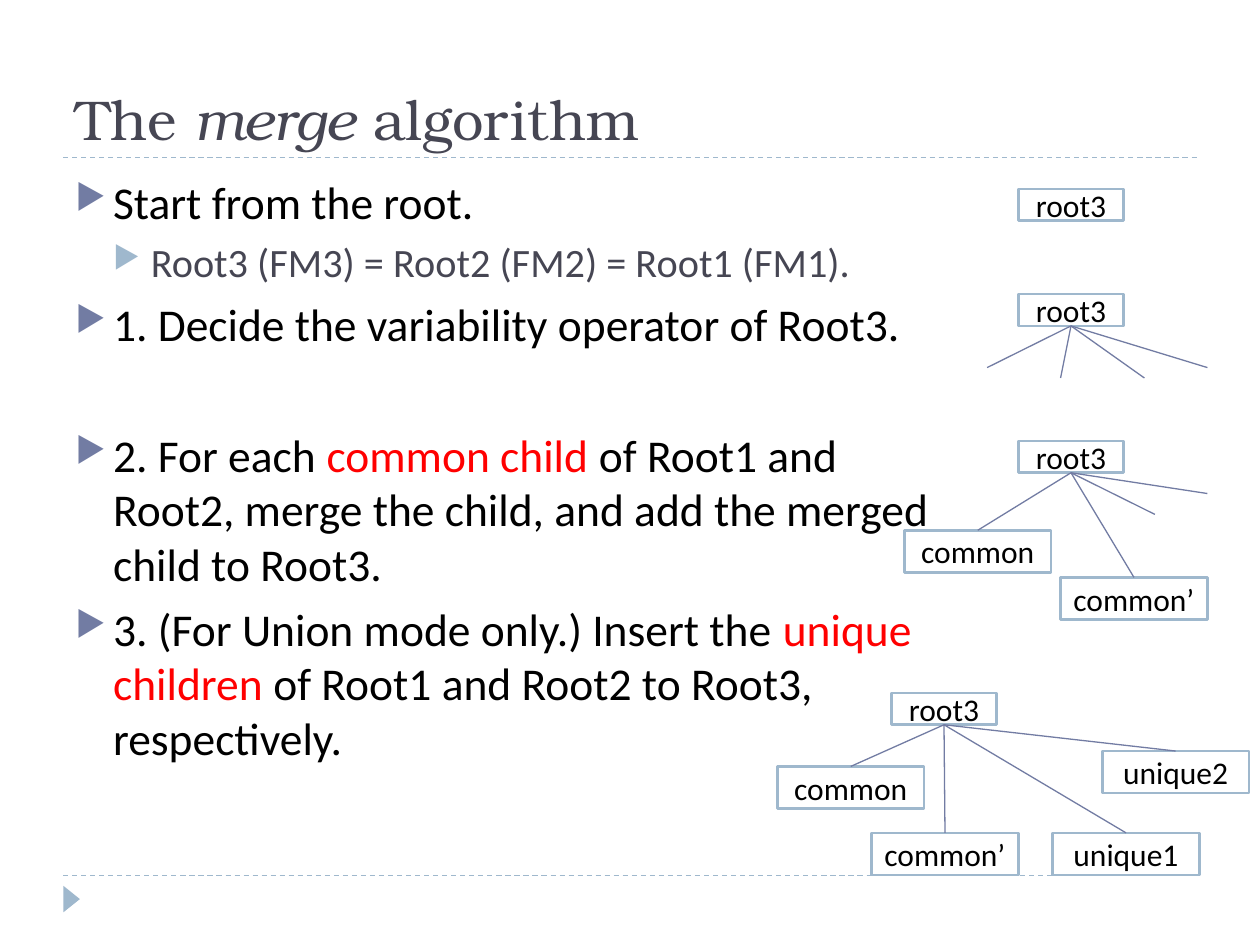
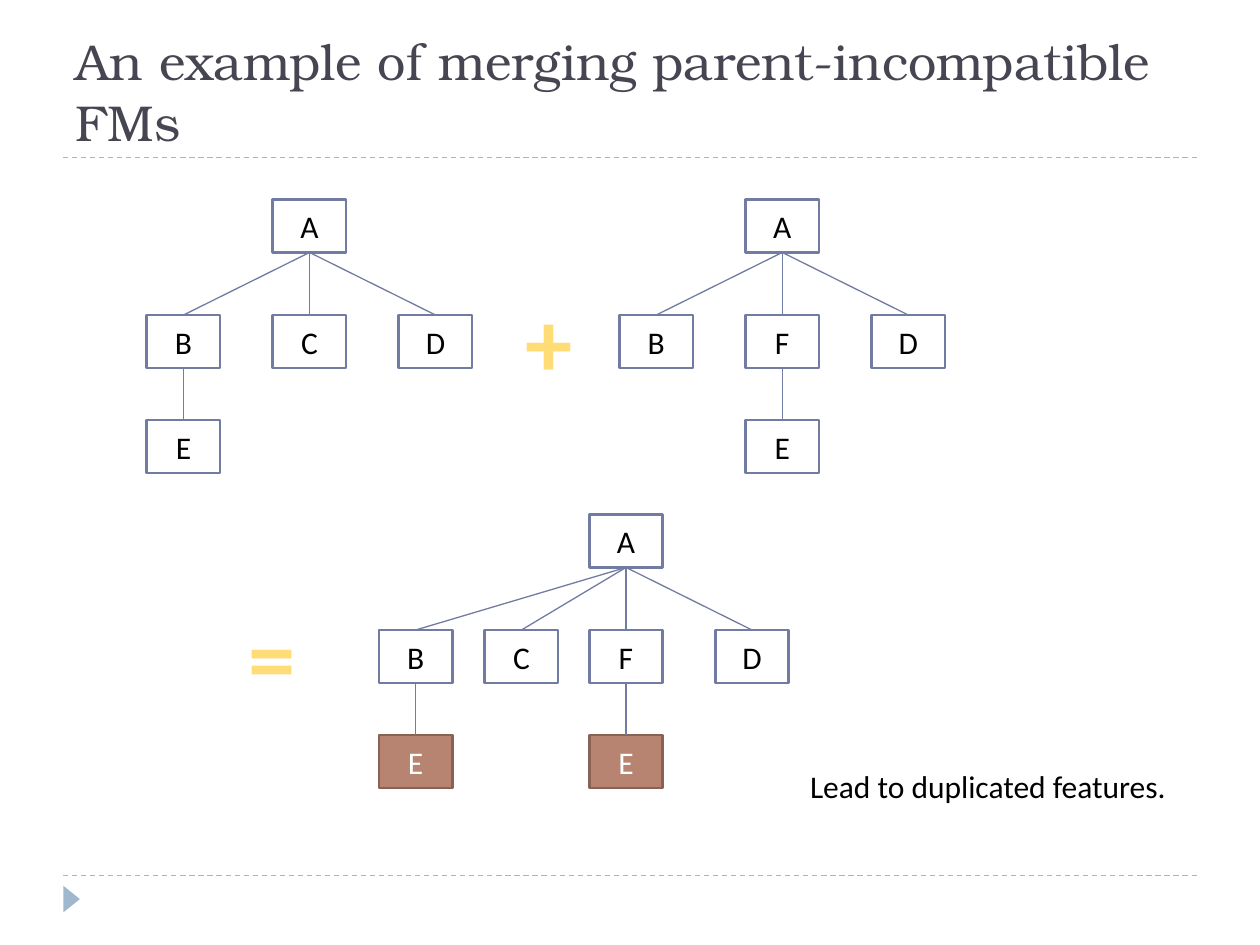
import pptx
import pptx.util
from lxml import etree
from pptx.dml.color import RGBColor
from pptx.enum.dml import MSO_LINE
from pptx.enum.shapes import MSO_CONNECTOR, MSO_SHAPE
from pptx.enum.text import MSO_ANCHOR, MSO_AUTO_SIZE, PP_ALIGN
from pptx.oxml.ns import qn

Cm, Pt = pptx.util.Cm, pptx.util.Pt

# Shared look
TITLE_FONT, BODY_FONT = "TeX Gyre Bonum", "Calibri"
BLACK, WHITE, RED, GOLD = "000000", "FFFFFF", "FF0000", "FFDC75"
SLATE, INDIGO, SKY = "464653", "727CA3", "9FB8CD"
CLAY, CLAY_EDGE = "B88472", "886254"
BOTTOM, TOP = 2, 0  # connection sites of a rectangle

# Sizes in cm
ROOT_SIZE, CHILD_SIZE, FEATURE_SIZE = (2.12, 0.64), (2.96, 0.85), (1.48, 1.07)
COLUMN, CHILD_DROP, GRANDCHILD_DROP = 2.54, 2.33, 4.45


def rgb(color):
    return RGBColor.from_string(color)


def add_run(paragraph, text, size, color=BLACK, font=BODY_FONT, bold=False, italic=False):
    run = paragraph.add_run()
    run.text = text
    run.font.name, run.font.size = font, Pt(size)
    run.font.bold, run.font.italic = bold, italic
    run.font.color.rgb = rgb(color)


def add_line(slide, start, end, color=INDIGO, dashed=False):
    line = slide.shapes.add_connector(MSO_CONNECTOR.STRAIGHT, *map(Cm, start + end))
    line.line.color.rgb = rgb(color)
    line.line.width = Pt(0.75)
    if dashed:
        line.line.dash_style = MSO_LINE.DASH
    etree.SubElement(line._element.spPr, qn("a:effectLst"))
    return line


def add_box(slide, label, left, top, size, edge, fill=WHITE, color=BLACK):
    box = slide.shapes.add_shape(MSO_SHAPE.RECTANGLE, *map(Cm, (left, top) + size))
    box.shadow.inherit = False
    box.fill.solid()
    box.fill.fore_color.rgb = rgb(fill)
    box.line.color.rgb = rgb(edge)
    box.line.width = Pt(1.5)
    box.text_frame.vertical_anchor = MSO_ANCHOR.MIDDLE
    paragraph = box.text_frame.paragraphs[0]
    paragraph.alignment = PP_ALIGN.CENTER
    add_run(paragraph, label, 18, color)
    return box


def add_branch(slide, parent, child):
    branch = add_line(slide, (0, 0), (1, 1))
    branch.begin_connect(parent, BOTTOM)
    branch.end_connect(child, TOP)


def add_open_branch(slide, parent, end):
    branch = add_line(slide, (0, 0), end)
    branch.begin_connect(parent, BOTTOM)


def add_label(slide, text, left, top, width, height, size, **style):
    frame = slide.shapes.add_textbox(*map(Cm, (left, top, width, height))).text_frame
    frame.word_wrap = False
    add_run(frame.paragraphs[0], text, size, **style)
    return frame.paragraphs[0]


def add_titled_slide(deck, title_runs, size):
    """Slide with title, dashed rules and the corner marker."""
    slide = deck.slides.add_slide(deck.slide_layouts[5])
    for y in (17.65, 3.18):
        add_line(slide, (1.27, y), (24.13, y), SKY, dashed=True)
    marker = slide.shapes.add_shape(
        MSO_SHAPE.ISOSCELES_TRIANGLE, *map(Cm, (1.18, 17.96, 0.53, 0.33)))
    marker.rotation = 90
    marker.shadow.inherit = False
    marker.fill.solid()
    marker.fill.fore_color.rgb = rgb(SKY)
    marker.line.fill.background()

    title = slide.shapes.title
    title.left, title.top, title.width, title.height = map(Cm, (1.27, 0.43, 22.86, 2.75))
    frame = title.text_frame
    frame.auto_size = MSO_AUTO_SIZE.NONE
    frame.vertical_anchor = MSO_ANCHOR.BOTTOM
    frame.paragraphs[0].alignment = PP_ALIGN.LEFT
    for text, italic in title_runs:
        add_run(frame.paragraphs[0], text, size, SLATE, TITLE_FONT, italic=italic)
    return slide


def set_bullet(paragraph, level, color):
    properties = paragraph._p.get_or_add_pPr()
    properties.set("marL", str(Cm(0.76 * (level + 1))))
    properties.set("indent", str(Cm(-0.76)))
    bullet_color = etree.SubElement(properties, qn("a:buClr"))
    etree.SubElement(bullet_color, qn("a:srgbClr"), val=color)
    etree.SubElement(properties, qn("a:buSzPct"), val="76000")
    etree.SubElement(properties, qn("a:buChar"), char="▶")


def add_steps(slide, steps):
    frame = slide.shapes.add_textbox(*map(Cm, (1.27, 3.38, 17.98, 13.72))).text_frame
    frame.word_wrap = True
    for number, (level, space, runs) in enumerate(steps):
        step = frame.add_paragraph() if number else frame.paragraphs[0]
        step.level = level
        step.space_before = Pt(space)
        set_bullet(step, level, SKY if level else INDIGO)
        for text, color in runs:
            add_run(step, text, 23 if level else 26, color)


def add_root_tree(slide, left, top, children=(), open_ends=()):
    """A root3 box with named children and branches that end free."""
    root = add_box(slide, "root3", left, top, ROOT_SIZE, SKY)
    for label, child_left, child_top in children:
        child = add_box(slide, label, child_left, child_top, CHILD_SIZE, SKY)
        add_branch(slide, root, child)
    for end in open_ends:
        add_open_branch(slide, root, end)


def add_feature_tree(slide, left, top, children, parents_of_e, duplicated=False):
    """Feature A with children at column offsets, and E below some of them."""
    e_style = dict(edge=CLAY_EDGE, fill=CLAY, color=WHITE) if duplicated else dict(edge=INDIGO)
    root = add_box(slide, "A", left, top, FEATURE_SIZE, INDIGO)
    for label, column in children.items():
        child_left = left + column * COLUMN
        child = add_box(slide, label, child_left, top + CHILD_DROP, FEATURE_SIZE, INDIGO)
        add_branch(slide, root, child)
        if label in parents_of_e:
            feature_e = add_box(slide, "E", child_left, top + GRANDCHILD_DROP,
                                FEATURE_SIZE, **e_style)
            add_branch(slide, child, feature_e)


def build_algorithm(deck):
    slide = add_titled_slide(
        deck, [("The ", False), ("merge ", True), ("algorithm", False)], 32)
    # The wide space before step 2 leaves room for the second tree
    add_steps(slide, [
        (0, 6, [("Start from the root.", BLACK)]),
        (1, 5, [("Root3 (FM3) = Root2 (FM2) = Root1 (FM1).", SLATE)]),
        (0, 6, [("1. Decide the variability operator of Root3.", BLACK)]),
        (0, 43.5, [("2. For each ", BLACK), ("common child ", RED),
                   ("of Root1 and Root2, merge the child, and add the merged "
                    "child to Root3.", BLACK)]),
        (0, 6, [("3. (For Union mode only.) Insert the ", BLACK), ("unique children ", RED),
                ("of Root1 and Root2 to Root3, respectively.", BLACK)]),
    ])
    # One tree per step
    add_root_tree(slide, 20.53, 3.81)
    add_root_tree(slide, 20.53, 5.93, open_ends=[
        (19.9, 7.41), (21.38, 7.62), (23.07, 7.62), (24.34, 7.41)])
    add_root_tree(slide, 20.53, 8.89,
                  children=[("common", 18.23, 10.69), ("common’", 21.38, 11.64)],
                  open_ends=[(23.28, 10.37), (24.34, 9.95)])
    add_root_tree(slide, 17.97, 13.97, children=[
        ("common", 15.67, 15.45), ("common’", 17.57, 16.79),
        ("unique1", 21.22, 16.79), ("unique2", 22.22, 15.14)])


def build_example(deck):
    slide = add_titled_slide(
        deck, [("An example of merging parent-incompatible FMs", False)], 28.8)
    # Two inputs and their merge
    add_feature_tree(slide, 5.5, 4.02, {"B": -1, "C": 0, "D": 1}, "B")
    add_feature_tree(slide, 15.03, 4.02, {"B": -1, "F": 0, "D": 1}, "F")
    add_feature_tree(slide, 11.88, 10.37, {"B": -1.67, "C": -0.83, "F": 0, "D": 1},
                     "BF", duplicated=True)
    # Operators and remark
    for sign, left, top in (("+", 10.26, 5.59), ("=", 4.67, 11.94)):
        operator = add_label(slide, sign, left, top, 1.63, 2.57, 54, color=GOLD, bold=True)
        operator.alignment = PP_ALIGN.CENTER
    add_label(slide, "Lead to duplicated features.", 16.08, 15.34, 7.7, 1.02, 18)


def main():
    deck = pptx.Presentation()
    deck.slide_width, deck.slide_height = Cm(25.4), Cm(19.05)
    build_algorithm(deck)
    build_example(deck)
    deck.save("out.pptx")


if __name__ == "__main__":
    main()
